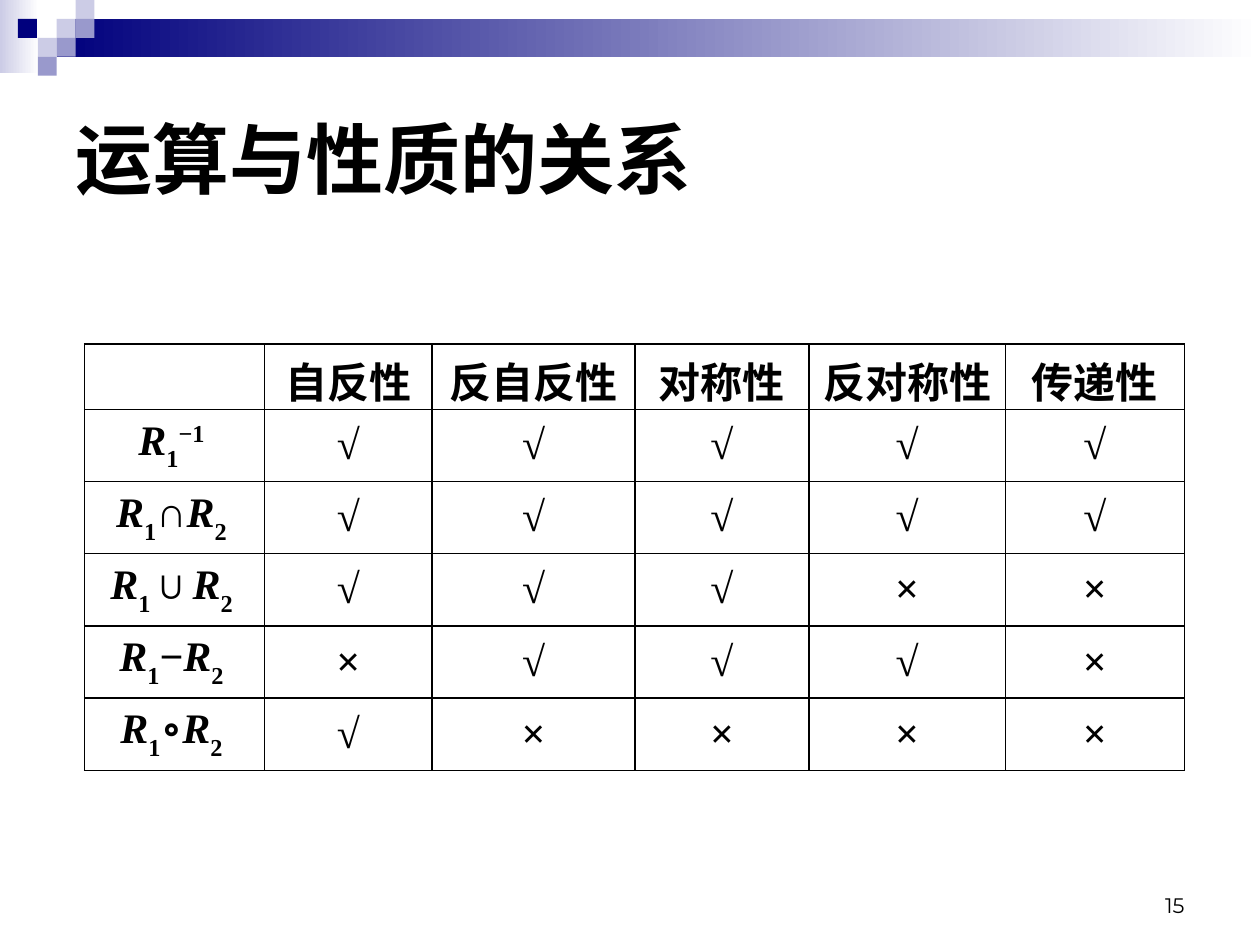
from lxml import etree
from pptx import Presentation
from pptx.dml.color import RGBColor
from pptx.enum.shapes import MSO_SHAPE
from pptx.enum.text import MSO_ANCHOR, PP_ALIGN
from pptx.oxml.ns import qn
from pptx.util import Inches, Pt

RECT = MSO_SHAPE.RECTANGLE
LEFT, CENTER, RIGHT = PP_ALIGN.LEFT, PP_ALIGN.CENTER, PP_ALIGN.RIGHT
MIDDLE, BOTTOM = MSO_ANCHOR.MIDDLE, MSO_ANCHOR.BOTTOM

THEME = {
    "ink": "000000", "navy": "00007D", "mid": "9999CC", "pale": "CCCCE6", "white": "FFFFFF",
    "title": 44, "body": 24, "small": 12,
    "head": "Arial", "serif": "Times New Roman", "sans": "Montserrat",
    "inner": 1, "outer": 0.75,
}

TITLE = "运算与性质的关系"
PAGE = "15"
TRAITS = ["自反性", "反自反性", "对称性", "反对称性", "传递性"]


def pair(sign):
    return [("R", "i"), ("1", "sub"), (sign, ""), ("R", "i"), ("2 ", "sub")]


ROWS = [
    ([("R", "i"), ("1", "sub"), ("−1 ", "sup")], "√√√√√"),
    (pair("∩"), "√√√√√"),
    (pair("∪"), "√√√××"),
    (pair("−"), "×√√√×"),
    (pair("∘"), "√××××"),
]
WIDTHS = [1.43, 1.33, 1.61, 1.38, 1.56, 1.42]
HEIGHTS = [0.52, 0.5, 0.5, 0.5, 0.5, 0.55]

TILE = 0.15
BANDS = [(0, 0, 0.31, 0.58, "pale"), (0.45, 0.15, 9.55, 0.3, "navy")]
TILES = [
    (3, 1, "pale"), (4, 0, "pale"), (4, 1, "mid"), (2, 2, "pale"),
    (0.95, 1, "navy"), (3, 2, "mid"), (2, 3, "mid"),
]
SHIFT = {"sub": "-30000", "sup": "30000"}


def color(name):
    return RGBColor.from_string(THEME[name])


def write(frame, text, size="body", font="serif", bold=True, align=CENTER):
    para = frame.paragraphs[0]
    para.alignment = align
    parts = [(text, "")] if isinstance(text, str) else text
    for part, mark in parts:
        run = para.add_run()
        run.text = part
        run.font.size = Pt(THEME[size])
        run.font.name = THEME[font]
        run.font.bold = bold
        run.font.italic = mark == "i"
        run.font.color.rgb = color("ink")
        if mark in SHIFT:
            run.font._element.set("baseline", SHIFT[mark])


def label(slide, box, text, anchor, **style):
    frame = slide.shapes.add_textbox(*map(Inches, box)).text_frame
    frame.word_wrap = True
    frame.vertical_anchor = anchor
    write(frame, text, **style)


def block(slide, box, tone, fade=False):
    shape = slide.shapes.add_shape(RECT, *map(Inches, box))
    shape.shadow.inherit = False
    shape.line.fill.background()
    if fade:
        shape.fill.gradient()
        shape.fill.gradient_angle = 0
        for stop, name, place in zip(shape.fill.gradient_stops, (tone, "white"), (0, 1)):
            stop.color.rgb = color(name)
            stop.position = place
    else:
        shape.fill.solid()
        shape.fill.fore_color.rgb = color(tone)


def border(cell, edges):
    props = cell._tc.get_or_add_tcPr()
    for spot, (side, outer) in enumerate(edges.items()):
        width = Pt(THEME["outer" if outer else "inner"])
        line = etree.Element(qn("a:ln" + side), w=str(width))
        fill = etree.SubElement(line, qn("a:solidFill"))
        etree.SubElement(fill, qn("a:srgbClr"), val=THEME["ink"])
        props.insert(spot, line)


def grid(slide):
    data = [["", *TRAITS]] + [[name, *marks] for name, marks in ROWS]
    rows, cols = len(data), len(WIDTHS)
    box = (0.67, 2.73, sum(WIDTHS), sum(HEIGHTS))
    table = slide.shapes.add_table(rows, cols, *map(Inches, box)).table
    table.first_row = table.horz_banding = False
    for col, width in zip(table.columns, WIDTHS):
        col.width = Inches(width)
    for row, height in zip(table.rows, HEIGHTS):
        row.height = Inches(height)
    for r, row in enumerate(data):
        for c, text in enumerate(row):
            cell = table.cell(r, c)
            cell.fill.background()
            cell.vertical_anchor = MIDDLE
            if text:
                write(cell.text_frame, text)
            border(cell, {"L": c == 0, "R": c == cols - 1, "T": r == 0, "B": r == rows - 1})


def main():
    deck = Presentation()
    deck.slide_width, deck.slide_height = Inches(10), Inches(7.5)
    slide = deck.slides.add_slide(deck.slide_layouts[6])
    for *box, tone in BANDS:
        block(slide, box, tone, fade=True)
    for col, row, tone in TILES:
        block(slide, (col * TILE, row * TILE, TILE, TILE), tone)
    label(slide, (7.17, 6.83, 2.33, 0.5), PAGE, BOTTOM,
          size="small", font="sans", bold=False, align=RIGHT)
    label(slide, (0.5, 0.5, 9, 1.5), TITLE, MIDDLE, size="title", font="head", align=LEFT)
    grid(slide)
    deck.save("out.pptx")


if __name__ == "__main__":
    main()
